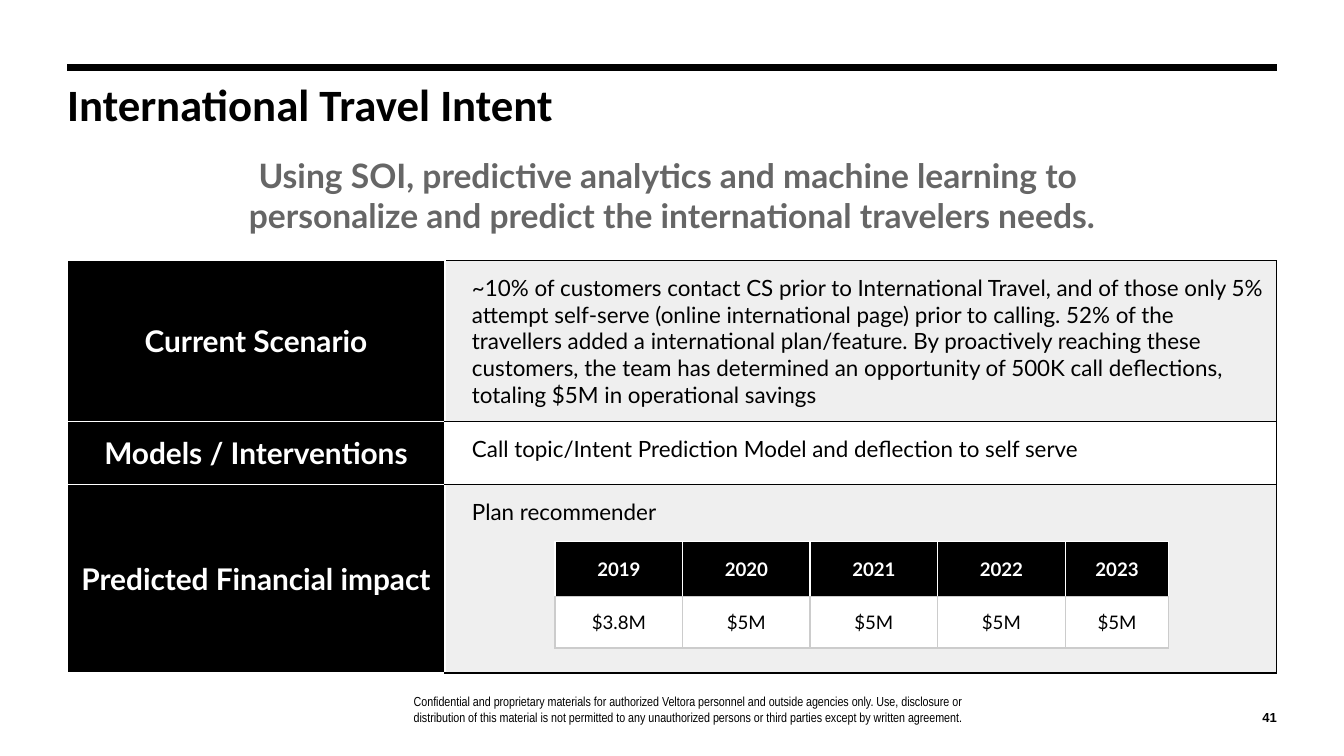
from dataclasses import dataclass

from lxml import etree
from pptx import Presentation
from pptx.dml.color import RGBColor
from pptx.enum import shapes, text
from pptx.oxml import ns
from pptx.util import Cm, Pt

COLORS = {
    "black": "000000",
    "white": "FFFFFF",
    "gray": "666666",
    "band": "EFEFEF",
    "grid": "CCCCCC",
}
LEFT, WIDTH = 1.27, 22.86
CENTER, RIGHT = text.PP_ALIGN.CENTER, text.PP_ALIGN.RIGHT
TOP, MIDDLE, BOTTOM = (
    text.MSO_ANCHOR.TOP, text.MSO_ANCHOR.MIDDLE, text.MSO_ANCHOR.BOTTOM)


@dataclass(frozen=True)
class Style:
    font: str
    size: float
    color: str = "black"
    bold: bool = False
    align: text.PP_ALIGN = text.PP_ALIGN.LEFT
    anchor: text.MSO_ANCHOR = TOP


@dataclass(frozen=True)
class CellLook:
    style: Style
    fill: str | None
    margins: tuple[float, float, float, float]  # left, top, right, bottom
    borders: dict[str, str]  # side letter to colour name


@dataclass(frozen=True)
class Topic:
    label: str
    detail: str
    height: float
    fill: str | None


TITLE = Style("Calibri", 24, bold=True)
SUBTITLE = Style("Lato", 18, "gray", True, CENTER)
FOOTER = Style("Arial Narrow", 7, anchor=BOTTOM)
NUMBER = Style("Arial", 7, bold=True, align=RIGHT, anchor=BOTTOM)
LABEL = Style("Lato", 16, "white", True, CENTER, MIDDLE)
DETAIL = Style("Lato", 12)
YEAR = Style("Lato", 10, "white", True, CENTER, MIDDLE)
AMOUNT = Style("Lato", 10, align=CENTER, anchor=MIDDLE)

TOPICS = [
    Topic("Current Scenario",
          "~10% of customers contact CS prior to International Travel, and of "
          "those only 5% attempt self-serve (online international page) prior "
          "to calling. 52% of the travellers added a international "
          "plan/feature. By proactively reaching these customers, the team "
          "has determined an opportunity of 500K call deflections, totaling "
          "$5M in operational savings", 3.02, "band"),
    Topic("Models / Interventions",
          "Call topic/Intent Prediction Model and deflection to self serve",
          1.19, None),
    Topic("Predicted Financial impact", "Plan recommender", 3.56, "band"),
]
SAVINGS = {"2019": "$3.8M", "2020": "$5M", "2021": "$5M",
           "2022": "$5M", "2023": "$5M"}


def rgb(name: str) -> RGBColor:
    return RGBColor.from_string(COLORS[name])


def write(frame, lines: list[str], style: Style) -> None:
    frame.text = "\n".join(lines)
    for para in frame.paragraphs:
        para.alignment = style.align
        para.font.name = style.font
        para.font.size = Pt(style.size)
        para.font.bold = style.bold
        para.font.color.rgb = rgb(style.color)


def fill_box(box, lines: list[str], style: Style, margins=(0, 0, 0, 0)) -> None:
    frame = box.text_frame
    frame.word_wrap = True
    frame.auto_size = text.MSO_AUTO_SIZE.NONE
    frame.vertical_anchor = style.anchor
    (frame.margin_left, frame.margin_top,
     frame.margin_right, frame.margin_bottom) = map(Cm, margins)
    write(frame, lines, style)


def add_text(page, place: tuple, lines: list[str], style: Style,
             margins=(0, 0, 0, 0)) -> None:
    fill_box(page.shapes.add_textbox(*map(Cm, place)), lines, style, margins)


def format_cell(cell, content: str, look: CellLook) -> None:
    write(cell.text_frame, [content], look.style)
    cell.vertical_anchor = look.style.anchor
    (cell.margin_left, cell.margin_top,
     cell.margin_right, cell.margin_bottom) = map(Cm, look.margins)
    if look.fill:
        cell.fill.solid()
        cell.fill.fore_color.rgb = rgb(look.fill)
    else:
        cell.fill.background()
    properties = cell._tc.get_or_add_tcPr()
    for index, side in enumerate("LRTB"):
        line = etree.Element(ns.qn(f"a:ln{side}"), w=str(Pt(0.75)))
        solid = etree.SubElement(line, ns.qn("a:solidFill"))
        etree.SubElement(solid, ns.qn("a:srgbClr"),
                         val=COLORS[look.borders[side]])
        properties.insert(index, line)


def add_grid(page, left: float, top: float, widths: list[float],
             heights: list[float], rows: list[list[tuple[str, CellLook]]]) -> None:
    table = page.shapes.add_table(
        len(heights), len(widths), Cm(left), Cm(top),
        Cm(sum(widths)), Cm(sum(heights))).table
    table.first_row = table.horz_banding = False
    for column, width in zip(table.columns, widths):
        column.width = Cm(width)
    for row, height, contents in zip(table.rows, heights, rows):
        row.height = Cm(height)
        for cell, (content, look) in zip(row.cells, contents):
            format_cell(cell, content, look)


deck = Presentation()
deck.slide_width, deck.slide_height = Cm(25.4), Cm(14.29)
page = deck.slides.add_slide(deck.slide_layouts[5])

# Rule above the title
rule = page.shapes.add_connector(
    shapes.MSO_CONNECTOR.STRAIGHT,
    Cm(LEFT), Cm(LEFT), Cm(LEFT + WIDTH), Cm(LEFT))
rule.line.color.rgb = rgb("black")
rule.line.width = Pt(3.75)
etree.SubElement(rule._element.spPr, ns.qn("a:effectLst"))

# Title and subtitle
title = page.shapes.title
title.left, title.top, title.width, title.height = map(
    Cm, (LEFT, 1.65, 19.69, 1.9))
fill_box(title, ["International Travel Intent"], TITLE)
title.text_frame.paragraphs[0].line_spacing = 0.8
add_text(page, (LEFT, 2.67, WIDTH, 1.78),
         ["Using SOI, predictive analytics and machine learning to ",
          "personalize and predict the international travelers needs."],
         SUBTITLE, (0.25,) * 4)

# Topic table
label_look = CellLook(LABEL, "black", (0.25,) * 4, dict.fromkeys("LRTB", "white"))
detail_borders = dict.fromkeys("RTB", "black") | {"L": "white"}
add_grid(
    page, LEFT, 4.93, [7.14, 15.72], [topic.height for topic in TOPICS],
    [[(topic.label, label_look),
      (topic.detail, CellLook(DETAIL, topic.fill, (0.51, 0.25, 0.25, 0.25),
                              detail_borders))]
     for topic in TOPICS])

# Savings by year
savings_margins = (0.25, 0.13, 0.25, 0.13)
year_look = CellLook(YEAR, "black", savings_margins,
                     dict.fromkeys("LRT", "white") | {"B": "grid"})
amount_look = CellLook(AMOUNT, "white", savings_margins,
                       dict.fromkeys("LRTB", "grid"))
add_grid(page, 10.49, 10.24, [2.41] * 4 + [1.96], [1.04, 0.97],
         [[(year, year_look) for year in SAVINGS],
          [(amount, amount_look) for amount in SAVINGS.values()]])

# Footer and page number
add_text(page, (7.82, 13.06, 11.18, 0.64),
         ["Confidential and proprietary materials for authorized Veltora "
          "personnel and outside agencies only. Use, disclosure or "
          "distribution of this material is not permitted to any "
          "unauthorized persons or third parties except by written "
          "agreement."], FOOTER, (0, 0, 0.51, 0))
add_text(page, (23.5, 13.06, 0.63, 0.64), ["41"], NUMBER)

deck.save("out.pptx")
